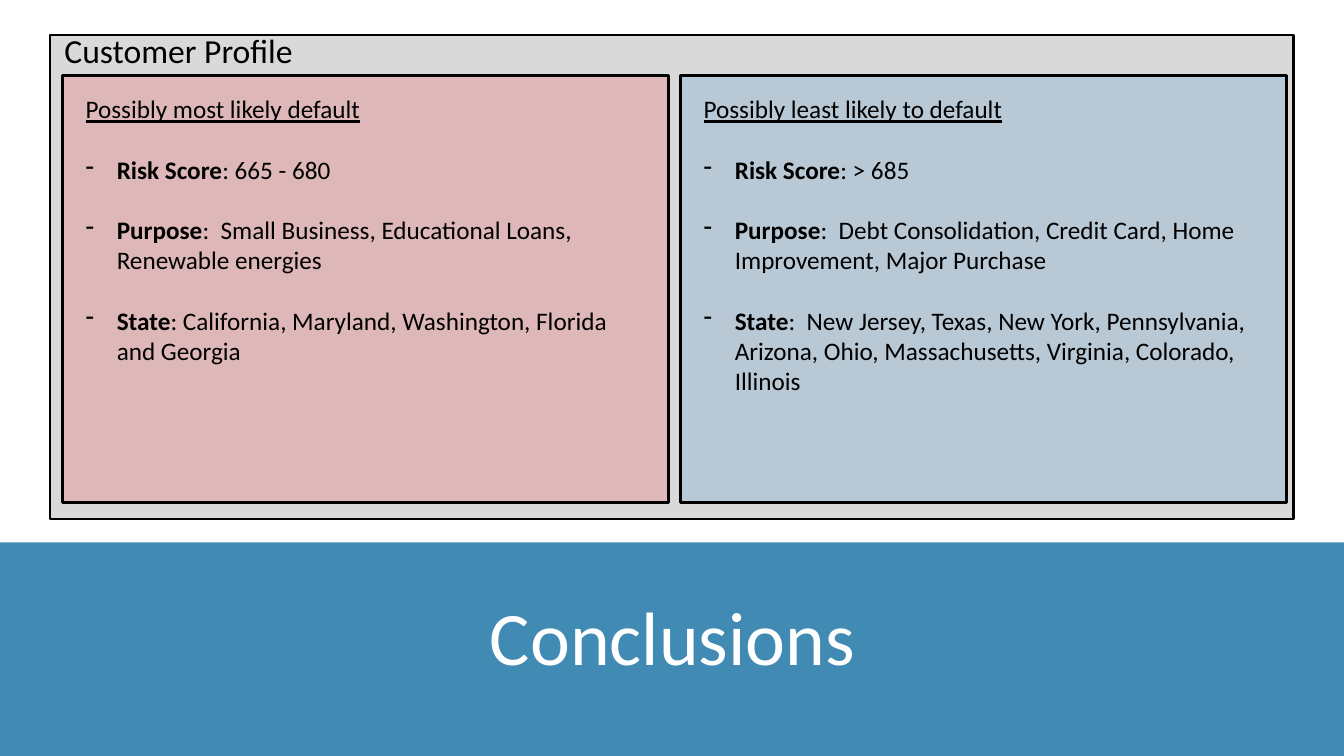
import pptx
import pptx.dml.color
import pptx.enum.shapes
import pptx.enum.text
import pptx.oxml.ns
import pptx.util
from lxml import etree

Inches = pptx.util.Inches
Pt = pptx.util.Pt
qn = pptx.oxml.ns.qn
FONT = "Calibri"

PROFILES = [
    (0.62, "FF0000", "Possibly most likely default", [
        ("Risk Score", ": 665 - 680"),
        ("Purpose", ":  Small Business, Educational Loans, Renewable energies"),
        ("State", ": California, Maryland, Washington, Florida and Georgia"),
    ]),
    (6.75, "0070C0", "Possibly least likely to default", [
        ("Risk Score", ": > 685"),
        ("Purpose", ":  Debt Consolidation, Credit Card, Home Improvement, Major Purchase"),
        ("State", ":  New Jersey, Texas, New York, Pennsylvania,  Arizona, Ohio, "
                  "Massachusetts, Virginia, Colorado, Illinois"),
    ]),
]


def rgb(value):
    return pptx.dml.color.RGBColor.from_string(value)


def set_font(p, size, color="000000"):
    p.font.name = FONT
    p.font.size = Pt(size)
    p.font.color.rgb = rgb(color)


def add_rect(shapes, left, top, width, height, fill, line_width=0, opacity=100):
    sp = shapes.add_shape(pptx.enum.shapes.MSO_SHAPE.RECTANGLE, Inches(left),
                          Inches(top), Inches(width), Inches(height))
    sp.shadow.inherit = False
    sp.fill.solid()
    sp.fill.fore_color.rgb = rgb(fill)
    if opacity < 100:
        clr = sp.fill._xPr.find(qn("a:solidFill"))[0]
        etree.SubElement(clr, qn("a:alpha")).set("val", str(opacity * 1000))
    if line_width:
        sp.line.color.rgb = rgb("000000")
        sp.line.width = Pt(line_width)
    else:
        sp.line.fill.background()


def add_text(shapes, left, top, width, height, text, size):
    tf = shapes.add_textbox(Inches(left), Inches(top), Inches(width),
                            Inches(height)).text_frame
    tf.word_wrap = True
    p = tf.paragraphs[0]
    p.text = text
    set_font(p, size)
    return tf


def add_dash_item(tf, label, detail):
    p = tf.add_paragraph()
    set_font(p, 18)
    p.space_before = Pt(21.5)
    pPr = p._p.get_or_add_pPr()
    pPr.set("marL", str(Inches(0.31)))
    pPr.set("indent", str(-Inches(0.31)))
    bullet = etree.Element(qn("a:buChar"))
    bullet.set("char", "-")
    pPr.find(qn("a:defRPr")).addprevious(bullet)
    r = p.add_run()
    r.text = label
    r.font.bold = True
    p.add_run().text = detail


def add_profile_text(shapes, left, heading, items):
    tf = add_text(shapes, left, 0.88, 5.72, 4.04, heading, 18)
    tf.paragraphs[0].font.underline = True
    for label, detail in items:
        add_dash_item(tf, label, detail)


def set_title(s, text):
    title = s.shapes.title
    title.left, title.top = Inches(2.95), Inches(5.8)
    title.width, title.height = Inches(7.44), Inches(1.36)
    tf = title.text_frame
    tf.text = text
    tf.vertical_anchor = pptx.enum.text.MSO_ANCHOR.TOP
    p = tf.paragraphs[0]
    p.alignment = pptx.enum.text.PP_ALIGN.CENTER
    p.line_spacing = 1.0
    p.space_before = Pt(10)
    set_font(p, 54, "FFFFFF")


def main():
    prs = pptx.Presentation()
    prs.slide_width, prs.slide_height = Inches(13.33), Inches(7.5)
    s = prs.slides.add_slide(prs.slide_layouts[5])
    s.background.fill.solid()
    s.background.fill.fore_color.rgb = rgb("418AB3")

    add_rect(s.shapes, 0, 0, 13.33, 5.38, "FFFFFF")
    set_title(s, "Conclusions")

    card = s.shapes.add_group_shape().shapes
    add_rect(card, 0.5, 0.35, 12.33, 4.8, "D9D9D9", 1.5)
    add_text(card, 0.54, 0.25, 2.97, 0.5, "Customer Profile", 24)
    for left, color, heading, items in PROFILES:
        add_rect(card, left, 0.75, 6.01, 4.24, color, 2.25, 15)
        add_profile_text(s.shapes, left + 0.13, heading, items)

    prs.save("out.pptx")


if __name__ == "__main__":
    main()
